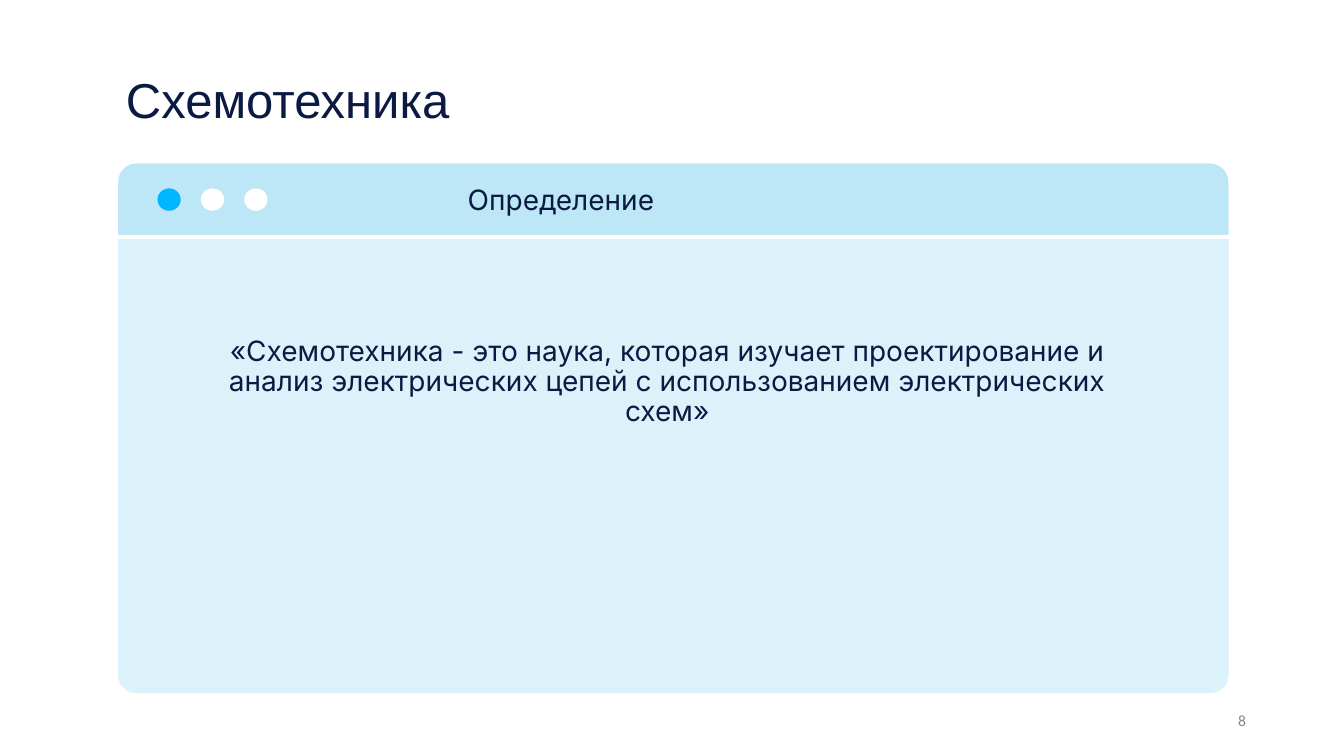
from lxml import etree
from pptx import Presentation
from pptx.dml.color import RGBColor
from pptx.enum import shapes, text
from pptx.oxml import ns
from pptx.util import Pt

NAVY = RGBColor(0x0B, 0x1A, 0x43)
GREY = RGBColor(0x88, 0x88, 0x88)
SKY = RGBColor(0x0C, 0xA8, 0xE6)
BRIGHT = RGBColor(0x00, 0xB7, 0xFF)
WHITE = RGBColor(0xFF, 0xFF, 0xFF)

LEFT, CENTER, RIGHT = text.PP_ALIGN.LEFT, text.PP_ALIGN.CENTER, text.PP_ALIGN.RIGHT
TOP, MIDDLE = text.MSO_ANCHOR.TOP, text.MSO_ANCHOR.MIDDLE
SHAPE = shapes.MSO_SHAPE

DEFINITION = (
    "«Схемотехника - это наука, которая изучает проектирование и анализ "
    "электрических цепей с использованием электрических схем»"
)
# wording, (left, top, width, height), font, size, colour, align, anchor, inset, spacing, wrap
LABELS = [
    ("Схемотехника", (86.4, 46.8, 789.1, 53.3), "Arial", 35, NAVY, LEFT, MIDDLE, 3.6, 0.9, True),
    (DEFINITION, (139.7, 237.3, 673.9, 204.8), "Inter", 20, NAVY, CENTER, TOP, 3.6, 0.9, True),
    ("Определение", (204.5, 130.3, 392.4, 23.8), "Inter", 20, NAVY, CENTER, TOP, 0, 1.0, True),
    ("8", (873.4, 505.4, 20.2, 19.4), "Calibri", 11.1, GREY, RIGHT, MIDDLE, 3.6, 0.9, False),
]

WINDOW_LEFT, WINDOW_TOP, WINDOW_WIDTH = 82.8, 115.2, 796.3
WINDOW_HEIGHT, HEADER_HEIGHT, CORNER = 381.6, 54, 14.6
BORDER = 3
DOT_COLOURS = [BRIGHT, WHITE, WHITE]
DOT_LEFT, DOT_TOP, DOT_WIDTH, DOT_HEIGHT, DOT_STEP = 112.5, 134.6, 16.6, 16, 31


def add_filled(page, kind, place, colour, opacity=100):
    shape = page.shapes.add_shape(kind, *map(Pt, place))
    shape.shadow.inherit = False
    shape.fill.solid()
    shape.fill.fore_color.rgb = colour
    shape.line.fill.background()
    if opacity < 100:
        tint = shape.fill._xPr.find(".//" + ns.qn("a:srgbClr"))
        etree.SubElement(tint, ns.qn("a:alpha"), val=str(opacity * 1000))
    return shape


def add_pane(page, kind, height, opacity):
    """Add a translucent, white-bordered part of the window."""
    place = (WINDOW_LEFT, WINDOW_TOP, WINDOW_WIDTH, height)
    pane = add_filled(page, kind, place, SKY, opacity)
    pane.adjustments[0] = CORNER / height
    pane.line.color.rgb = WHITE
    pane.line.width = Pt(BORDER)


def add_label(page, wording, place, font, size, colour, align, anchor, inset, spacing, wrap):
    frame = page.shapes.add_textbox(*map(Pt, place)).text_frame
    frame.word_wrap = wrap
    frame.vertical_anchor = anchor
    frame.margin_left = frame.margin_right = Pt(inset)
    frame.margin_top = frame.margin_bottom = Pt(inset)
    para = frame.paragraphs[0]
    para.text = wording
    para.alignment = align
    para.line_spacing = spacing
    para.font.name = font
    para.font.size = Pt(size)
    para.font.color.rgb = colour


def main():
    deck = Presentation()
    deck.slide_width, deck.slide_height = Pt(960), Pt(540)
    page = deck.slides.add_slide(deck.slide_layouts[6])
    page.background.fill.solid()
    page.background.fill.fore_color.rgb = WHITE

    add_pane(page, SHAPE.ROUNDED_RECTANGLE, WINDOW_HEIGHT, 14)
    add_pane(page, SHAPE.ROUND_2_SAME_RECTANGLE, HEADER_HEIGHT, 15)
    for index, colour in enumerate(DOT_COLOURS):
        place = (DOT_LEFT + index * DOT_STEP, DOT_TOP, DOT_WIDTH, DOT_HEIGHT)
        add_filled(page, SHAPE.OVAL, place, colour)
    for label in LABELS:
        add_label(page, *label)

    deck.save("out.pptx")


if __name__ == "__main__":
    main()
